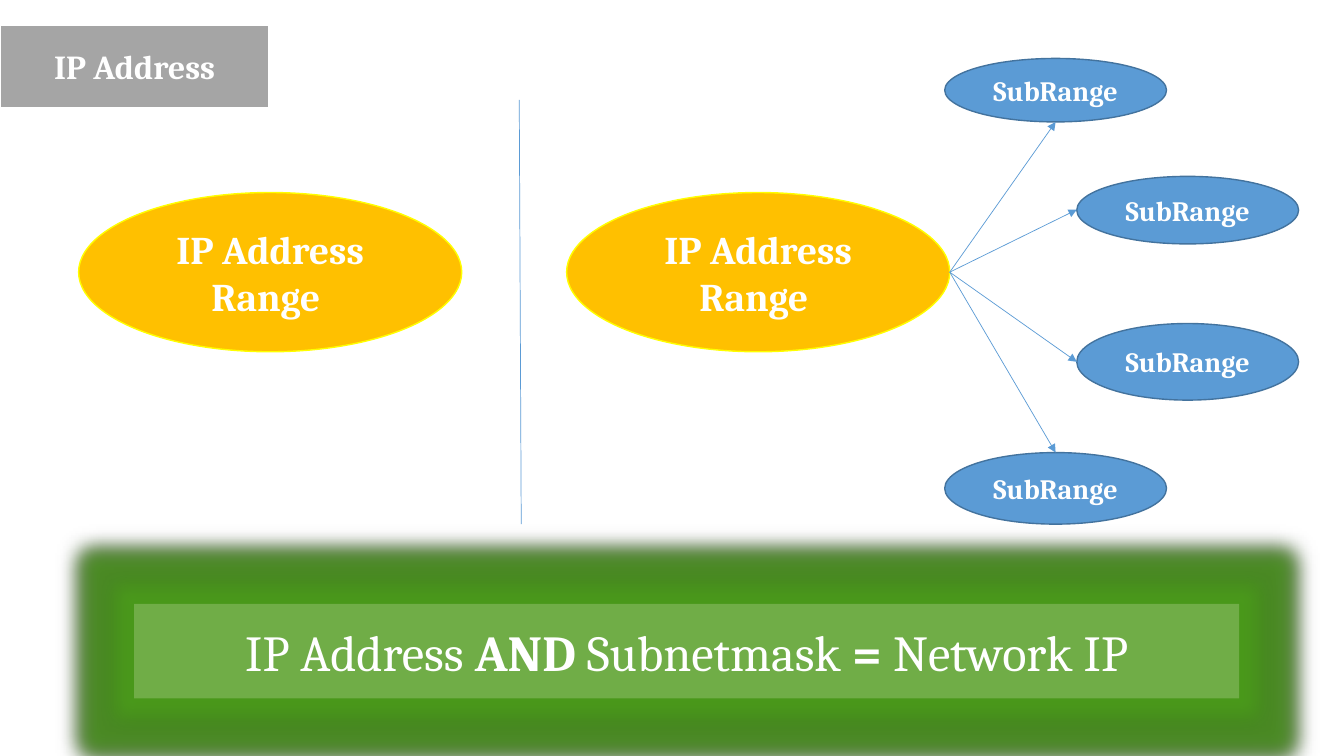
from lxml import etree
from pptx import Presentation
from pptx import util as u
from pptx.dml.color import RGBColor
from pptx.enum import shapes, text
from pptx.oxml import parse_xml
from pptx.oxml.ns import nsdecls, qn

PX = 9144
FONT = "Cambria"
WHITE = RGBColor(0xFF, 0xFF, 0xFF)
GOLD = RGBColor(0xFF, 0xC0, 0x00)
YELLOW = RGBColor(0xFF, 0xFF, 0x00)
BLUE = RGBColor(0x5B, 0x9B, 0xD5)
DARK_BLUE = RGBColor(0x43, 0x73, 0x9E)
GRAY = RGBColor(0xA5, 0xA5, 0xA5)
GREEN = RGBColor(0x70, 0xAD, 0x47)
GLOW_GREEN = RGBColor(0x4E, 0xA2, 0x1C)
BLACK = RGBColor(0, 0, 0)

RANGE_TOP, RANGE_WIDTH, RANGE_HEIGHT = 191, 380, 158
RANGE_LEFTS = (78, 562)
SUBRANGE_WIDTH = 220
SUBRANGES = (
    (937, 58, 63, "bottom"),
    (1068, 175, 67, "left"),
    (1068, 321, 76, "left"),
    (937, 449, 71, "top"),
)


def px(*lengths):
    return [u.Emu(length * PX) for length in lengths]


def write_text(shape, runs, size, bold=False):
    frame = shape.text_frame
    frame.word_wrap = True
    frame.auto_size = text.MSO_AUTO_SIZE.NONE
    frame.vertical_anchor = text.MSO_ANCHOR.MIDDLE
    paragraph = frame.paragraphs[0]
    paragraph.alignment = text.PP_ALIGN.CENTER
    for words, emphasis in runs:
        run = paragraph.add_run()
        run.text = words
        run.font.name = FONT
        run.font.size = u.Pt(size)
        run.font.bold = bold or emphasis
        run.font.color.rgb = WHITE


def paint(shape, fill, line=None, width=1):
    shape.fill.solid()
    shape.fill.fore_color.rgb = fill
    if line is None:
        shape.line.fill.background()
    else:
        shape.line.color.rgb = line
        shape.line.width = u.Pt(width)


def add_ellipse(slide, box, words, size, fill, line):
    ellipse = slide.shapes.add_shape(shapes.MSO_SHAPE.OVAL, *px(*box))
    ellipse.shadow.inherit = False
    paint(ellipse, fill, line)
    write_text(ellipse, [(words, False)], size, bold=True)


def add_line(slide, start, end, arrow=False):
    connector = slide.shapes.add_connector(
        shapes.MSO_CONNECTOR.STRAIGHT, *px(*start, *end))
    connector.line.color.rgb = BLUE
    connector.line.width = u.Pt(0.5)
    if arrow:
        line = connector.line._get_or_add_ln()
        etree.SubElement(line, qn("a:tailEnd"), type="triangle")
    etree.SubElement(connector._element.spPr, qn("a:effectLst"))


def add_title(slide, box, words):
    title = slide.shapes.title
    title.left, title.top, title.width, title.height = px(*box)
    title._element.spPr.append(parse_xml(
        f'<a:prstGeom {nsdecls("a")} prst="homePlate"><a:avLst/></a:prstGeom>'))
    paint(title, GRAY, WHITE, 1.5)
    write_text(title, [(words, False)], 24, bold=True)


def add_banner(slide, box, runs):
    banner = slide.shapes.add_shape(shapes.MSO_SHAPE.RECTANGLE, *px(*box))
    paint(banner, GREEN)
    banner._element.spPr.append(parse_xml(
        f'<a:effectLst {nsdecls("a")}>'
        f'<a:glow rad="{36 * PX}"><a:srgbClr val="{GLOW_GREEN}">'
        '<a:alpha val="75000"/></a:srgbClr></a:glow>'
        f'<a:outerShdw blurRad="{u.Pt(8.5)}" dist="{u.Pt(1)}" dir="5400000" '
        f'algn="ctr" rotWithShape="0"><a:srgbClr val="{BLACK}"/>'
        '</a:outerShdw></a:effectLst>'))
    write_text(banner, runs, 36)


def add_subranges(slide):
    start = (RANGE_LEFTS[1] + RANGE_WIDTH, RANGE_TOP + RANGE_HEIGHT // 2)
    for left, top, height, side in SUBRANGES:
        add_ellipse(slide, (left, top, SUBRANGE_WIDTH, height),
                    "SubRange", 20, BLUE, DARK_BLUE)
        middle = left + SUBRANGE_WIDTH // 2
        ends = {
            "top": (middle, top),
            "bottom": (middle, top + height),
            "left": (left, top + height // 2),
        }
        add_line(slide, start, ends[side], arrow=True)


def main():
    presentation = Presentation()
    presentation.slide_width, presentation.slide_height = px(1333, 750)
    slide = presentation.slides.add_slide(presentation.slide_layouts[5])

    add_title(slide, (0, 25, 267, 82), "IP Address")
    for left in RANGE_LEFTS:
        add_ellipse(slide, (left, RANGE_TOP, RANGE_WIDTH, RANGE_HEIGHT),
                    "IP Address Range ", 28, GOLD, YELLOW)
    add_subranges(slide)
    add_line(slide, (515, 99), (517, 520))
    add_banner(slide, (133, 599, 1096, 94), [
        ("IP Address ", False),
        ("AND ", True),
        ("Subnetmask ", False),
        ("=", True),
        (" Network IP", False),
    ])

    presentation.save("out.pptx")


if __name__ == "__main__":
    main()
